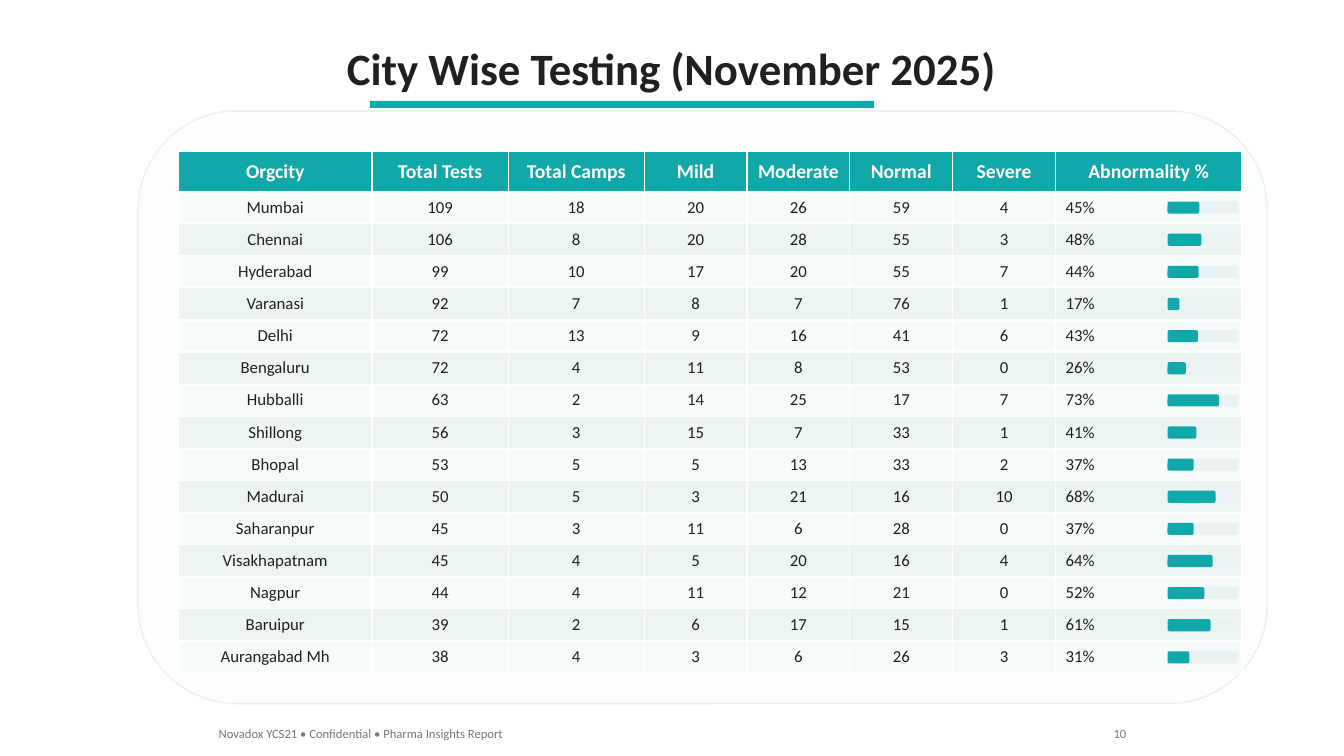
from pptx import Presentation
from pptx.dml.color import RGBColor
from pptx.enum.shapes import MSO_SHAPE as Shape
from pptx.enum.text import MSO_ANCHOR as Anchor, MSO_AUTO_SIZE as AutoSize, PP_ALIGN as Align
from pptx.util import Inches, Pt

THEME = {
    "font": "Calibri",
    "color": {
        "teal": "10A8A8", "ink": "202020", "white": "FFFFFF", "gray": "787878",
        "panel": "FCFDFD", "outline": "EBF0F0", "track": "EAF3F3",
        "odd": "F6FAFA", "even": "ECF4F4",
    },
    "size": {"title": 32, "header": 14, "body": 12, "footer": 9},
}
COLOR = {name: RGBColor.from_string(code) for name, code in THEME["color"].items()}


def write(frame, text, size, color, align, bold=False):
    para = frame.paragraphs[0]
    para.alignment = align
    span = para.add_run()
    span.text = text
    font_format = {"name": THEME["font"], "size": Pt(THEME["size"][size]), "bold": bold}
    for attribute, value in font_format.items():
        setattr(span.font, attribute, value)
    span.font.color.rgb = COLOR[color]


def add_block(kind, left, top, width, height, fill, outline=None):
    block = page.shapes.add_shape(kind, Inches(left), Inches(top), Inches(width), Inches(height))
    block.shadow.inherit = False
    block.fill.solid()
    block.fill.fore_color.rgb = COLOR[fill]
    if outline:
        block.line.color.rgb = COLOR[outline]
        block.line.width = Pt(1)
    else:
        block.line.fill.background()


deck = Presentation()
deck.slide_width, deck.slide_height = Inches(13.33), Inches(7.5)
page = deck.slides.add_slide(deck.slide_layouts[5])

# Title
title = page.shapes.title
title_place = {"left": 3.31, "top": 0.35, "width": 6.7, "height": 0.64}
for attribute, value in title_place.items():
    setattr(title, attribute, Inches(value))
title_format = {"word_wrap": False, "auto_size": AutoSize.SHAPE_TO_FIT_TEXT,
                "vertical_anchor": Anchor.TOP}
for attribute, value in title_format.items():
    setattr(title.text_frame, attribute, value)
write(title.text_frame, "City Wise Testing (November 2025)", "title", "ink", Align.CENTER, True)

# Title underline and rounded panel
add_block(Shape.RECTANGLE, 3.67, 1, 5, 0.07, "teal")
add_block(Shape.ROUNDED_RECTANGLE, 1.37, 1.1, 11.2, 5.88, "panel", "outline")

# City table
headers = ["Orgcity", "Total Tests", "Total Camps", "Mild", "Moderate", "Normal", "Severe",
           "Abnormality %"]
cities = [
    ("Mumbai", 109, 18, 20, 26, 59, 4, 45),
    ("Chennai", 106, 8, 20, 28, 55, 3, 48),
    ("Hyderabad", 99, 10, 17, 20, 55, 7, 44),
    ("Varanasi", 92, 7, 8, 7, 76, 1, 17),
    ("Delhi", 72, 13, 9, 16, 41, 6, 43),
    ("Bengaluru", 72, 4, 11, 8, 53, 0, 26),
    ("Hubballi", 63, 2, 14, 25, 17, 7, 73),
    ("Shillong", 56, 3, 15, 7, 33, 1, 41),
    ("Bhopal", 53, 5, 5, 13, 33, 2, 37),
    ("Madurai", 50, 5, 3, 21, 16, 10, 68),
    ("Saharanpur", 45, 3, 11, 6, 28, 0, 37),
    ("Visakhapatnam", 45, 4, 5, 20, 16, 4, 64),
    ("Nagpur", 44, 4, 11, 12, 21, 0, 52),
    ("Baruipur", 39, 2, 6, 17, 15, 1, 61),
    ("Aurangabad Mh", 38, 4, 3, 6, 26, 3, 31),
]
column_widths = [1.92, 1.35, 1.35, 1.02, 1.02, 1.02, 1.02, 1.85]
table_top, table_height, header_height = 1.5, 5.18, 0.4
row_height = (table_height - header_height) / len(cities)

table = page.shapes.add_table(len(cities) + 1, len(headers), Inches(1.77), Inches(table_top),
                              Inches(10.57), Inches(table_height)).table
for column, width in zip(table.columns, column_widths):
    column.width = Inches(width)
for index, row in enumerate(table.rows):
    row.height = Inches(row_height if index else header_height)

for row_index, values in enumerate([headers, *cities]):
    is_header = row_index == 0
    fill = "teal" if is_header else "odd" if row_index % 2 else "even"
    for column_index, value in enumerate(values):
        cell = table.cell(row_index, column_index)
        cell.fill.solid()
        cell.fill.fore_color.rgb = COLOR[fill]
        cell.vertical_anchor = Anchor.MIDDLE
        if is_header:
            write(cell.text_frame, value, "header", "white", Align.CENTER, True)
        elif column_index == len(headers) - 1:
            write(cell.text_frame, f"{value}%", "body", "ink", Align.LEFT)
        else:
            write(cell.text_frame, str(value), "body", "ink", Align.CENTER)

# Abnormality bars
track_width, bar_height = 0.7, 0.12
for index, city in enumerate(cities):
    bar_top = table_top + header_height + index * row_height + 0.1
    for width, fill in ((track_width, "track"), (track_width * city[-1] / 100, "teal")):
        add_block(Shape.ROUNDED_RECTANGLE, 11.58, bar_top, width, bar_height, fill)

# Footer
footers = [
    ("Novadox YCS21 • Confidential • Pharma Insights Report", 2.07, 3.05, Align.LEFT),
    ("10", 10.94, 0.33, Align.RIGHT),
]
for text, left, width, align in footers:
    box = page.shapes.add_textbox(Inches(left), Inches(7.15), Inches(width), Inches(0.25))
    box.text_frame.word_wrap = False
    box.text_frame.auto_size = AutoSize.SHAPE_TO_FIT_TEXT
    write(box.text_frame, text, "footer", "gray", align)

deck.save("out.pptx")
